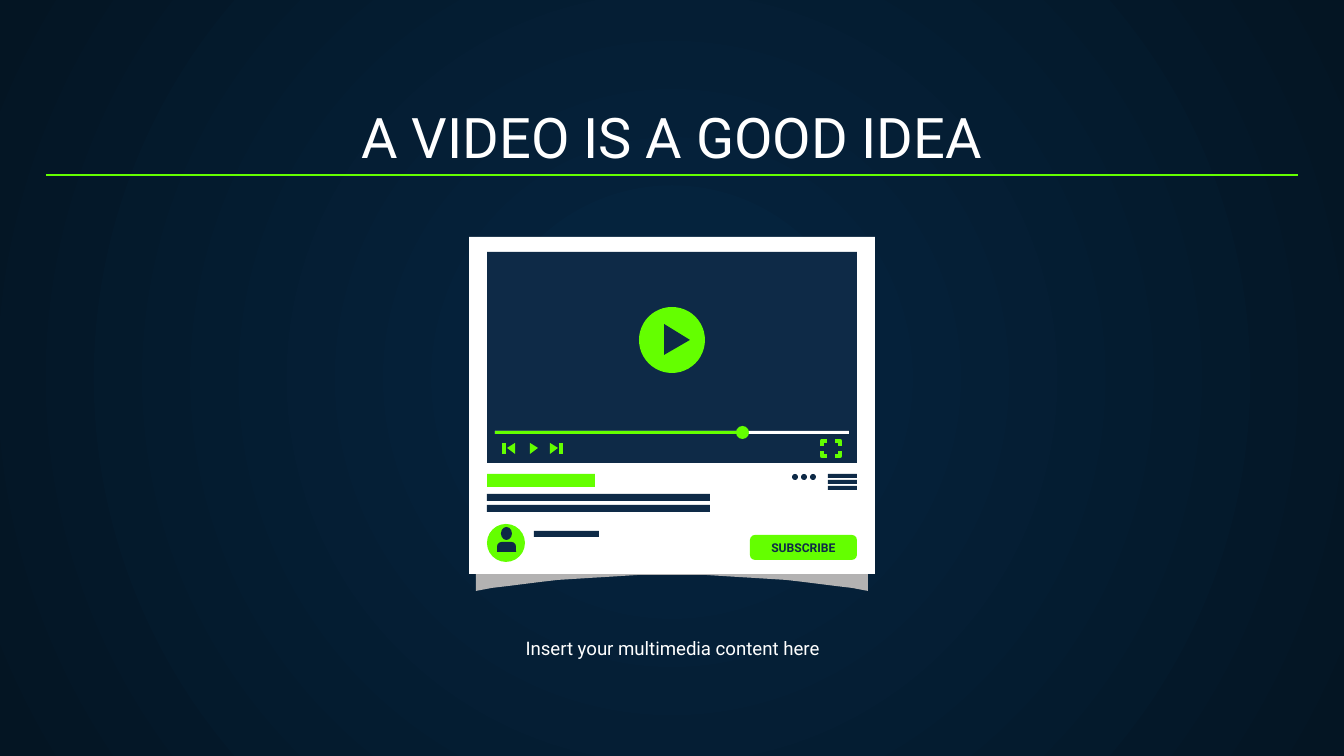
from pptx import Presentation
from pptx.dml.color import RGBColor
from pptx.enum.shapes import MSO_CONNECTOR as Link, MSO_SHAPE as Kind
from pptx.enum.text import MSO_ANCHOR as Anchor, MSO_AUTO_SIZE as Fit, PP_ALIGN as Align
from pptx.oxml import parse_xml
from pptx.oxml.ns import nsdecls, qn
from pptx.util import Emu, Pt

PX = 914400 / 134.4
FONT = "Roboto"
HUES = {"white": "FFFFFF", "green": "64FF00", "navy": "0E2A47", "gray": "B3B2B2",
        "core": "052643", "edge": "041523"}

TITLE = ("A VIDEO IS A GOOD IDEA", (46, 94, 1252, 89), 30, Anchor.BOTTOM)
NOTE = ("Insert your multimedia content here", (452, 624, 441, 52), 10, Anchor.TOP)
RULE = (46, 175, 1298, 175)

BOX, DISC, PILL, BUST = Kind.RECTANGLE, Kind.OVAL, Kind.ROUNDED_RECTANGLE, Kind.ROUND_2_SAME_RECTANGLE
PARTS = [
    (BOX, "white", (469, 237, 406, 337)),
    (BOX, "navy", (487, 252, 370, 211)),
    (BOX, "white", (495, 431, 354, 3)),
    (BOX, "green", (495, 431, 248, 3)),
    (DISC, "green", (639, 307, 66, 66)),
    (DISC, "green", (736, 426, 13, 13)),
    (BOX, "green", (487, 474, 108, 13)),
    *[(BOX, "navy", (487, 494 + 11 * i, 223, 7)) for i in range(2)],
    (BOX, "navy", (534, 531, 65, 6)),
    *[(BOX, "navy", (828, 474 + 6 * i, 29, 4)) for i in range(3)],
    *[(DISC, "navy", (792 + 9 * i, 474, 6, 6)) for i in range(3)],
    (DISC, "green", (487, 524, 38, 38)),
    (DISC, "navy", (501, 527, 11, 13)),
    (BUST, "navy", (497, 542, 19, 10)),
]
BUTTON = ("SUBSCRIBE", (750, 535, 107, 25), 6.5)
ARROWS = [
    ("navy", (664, 324, 355, 690)),
    ("green", (530, 443, 454, 538)),
    ("green", (550, 443, 454, 558)),
    ("green", (515, 443, 454, 507)),
]
BARS = [(504, 443, 504, 454), (561, 443, 561, 454)]
CORNERS = [(x, y, dx, dy) for y, dy in ((441, 5), (456, -5))
           for x, dx in ((822, 5), (840, -5))]


def emu(nums):
    return [Emu(round(n * PX)) for n in nums]


def tint(name):
    return RGBColor.from_string(HUES[name])


def paint(shape, hue):
    shape.shadow.inherit = False
    shape.fill.solid()
    shape.fill.fore_color.rgb = tint(hue)
    shape.line.fill.background()
    return shape


def write(shape, text, size, hue, anchor, pad, bold=False):
    frame = shape.text_frame
    look = {"word_wrap": True, "auto_size": Fit.NONE, "vertical_anchor": anchor}
    look.update({f"margin_{side}": Emu(round(pad * PX))
                 for side in ("left", "right", "top", "bottom")})
    for key, val in look.items():
        setattr(frame, key, val)
    par = frame.paragraphs[0]
    par.text = text
    par.alignment = Align.CENTER
    par.space_before = Pt(0)
    for key, val in {"name": FONT, "size": Pt(size), "bold": bold}.items():
        setattr(par.font, key, val)
    par.font.color.rgb = tint(hue)


def place(holder, spec):
    text, rect, size, anchor = spec
    for key, val in zip(("left", "top", "width", "height"), emu(rect)):
        setattr(holder, key, val)
    write(holder, text, size, "white", anchor, 13)


def draw(shapes, dots, close=True):
    pen = shapes.build_freeform(*dots[0], scale=PX)
    pen.add_line_segments(dots[1:], close=close)
    return pen.convert_to_shape()


def stroke(shapes, ends, width):
    line = shapes.add_connector(Link.STRAIGHT, *emu(ends))
    line.line.color.rgb = tint("green")
    line.line.width = Pt(width)
    line._element.spPr.append(parse_xml(f"<a:effectLst {nsdecls('a')}/>"))


def backdrop(slide):
    fill = slide.background.fill
    fill.gradient()
    for stop, hue in zip(fill.gradient_stops, ("core", "edge")):
        stop.color.rgb = tint(hue)
    lin = next(slide._element.iter(qn("a:lin")))
    lin.getparent().replace(lin, parse_xml(
        f'<a:path {nsdecls("a")} path="circle">'
        '<a:fillToRect l="50000" t="50000" r="50000" b="50000"/></a:path>'))


def player(shapes):
    steps = [i / 12 for i in range(-12, 13)]
    low = [(672 + 196 * t, 575 + 16 * t * t) for t in steps]
    high = [(x, y - 291) for x, y in reversed(low)]
    paint(draw(shapes, low + high), "gray")
    for kind, hue, rect in PARTS:
        shape = paint(shapes.add_shape(kind, *emu(rect)), hue)
        if kind == BUST:
            shape.adjustments[0] = 0.45
    text, rect, size = BUTTON
    pill = paint(shapes.add_shape(PILL, *emu(rect)), "green")
    pill.adjustments[0] = 0.2
    write(pill, text, size, "navy", Anchor.MIDDLE, 0, True)
    for hue, (x, top, low, tip) in ARROWS:
        paint(draw(shapes, [(x, top), (x, low), (tip, (top + low) / 2)]), hue)
    for x, y, dx, dy in CORNERS:
        shape = draw(shapes, [(x, y + dy), (x, y), (x + dx, y)], False)
        shape.shadow.inherit = False
        shape.fill.background()
        shape.line.color.rgb = tint("green")
        shape.line.width = Pt(2.45)
    for bar in BARS:
        stroke(shapes, bar, 2.45)


def main():
    deck = Presentation()
    deck.slide_width, deck.slide_height = emu((1344, 756))
    slide = deck.slides.add_slide(deck.slide_layouts[0])
    backdrop(slide)
    place(slide.shapes.title, TITLE)
    place(slide.placeholders[1], NOTE)
    player(slide.shapes.add_group_shape().shapes)
    stroke(slide.shapes, RULE, 0.75)
    deck.save("out.pptx")


if __name__ == "__main__":
    main()
